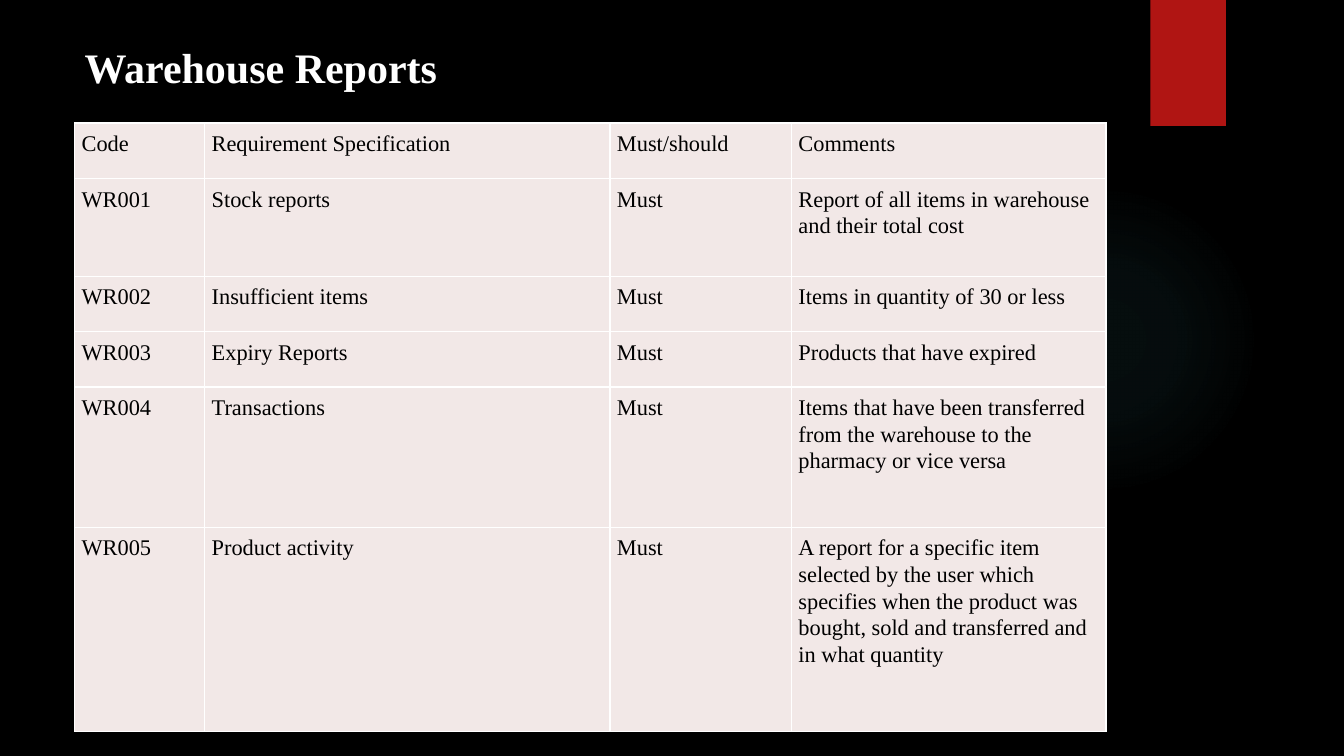
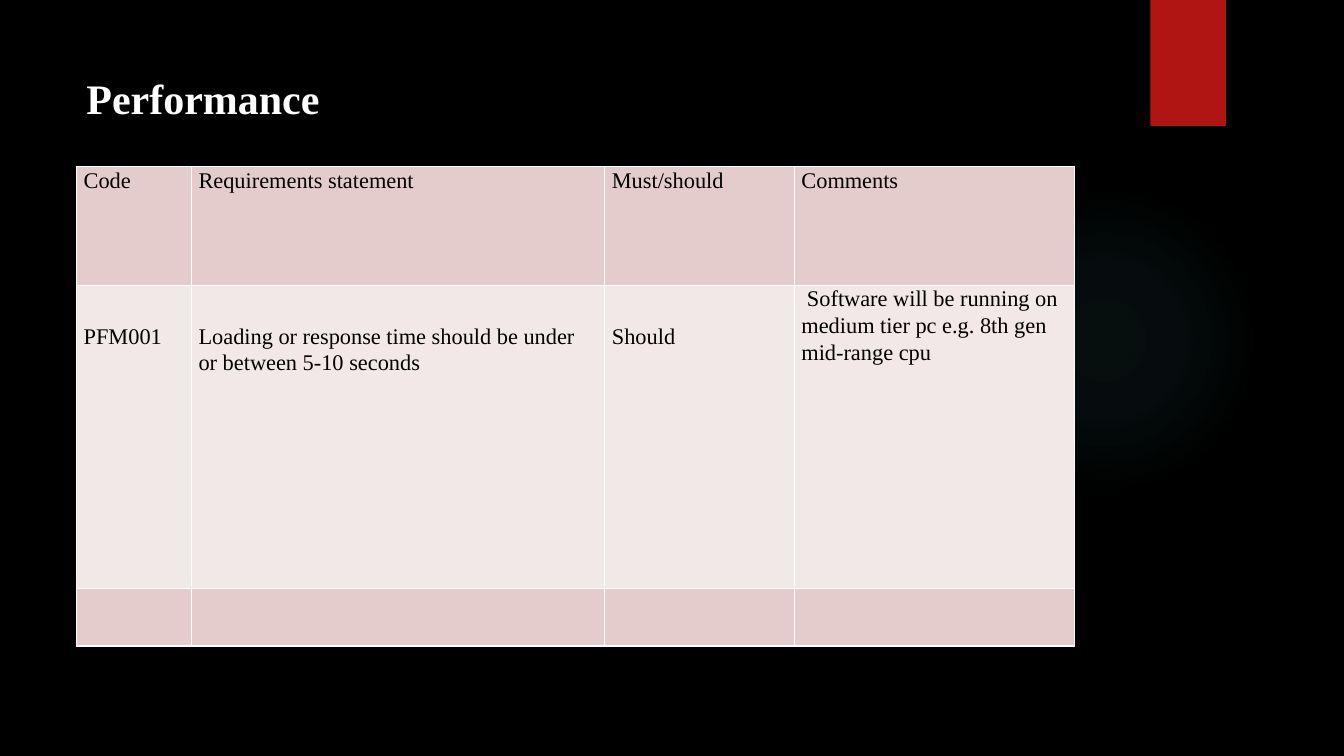
from dataclasses import dataclass

from pptx import Presentation
from pptx.dml.color import RGBColor
from pptx.enum.shapes import MSO_SHAPE
from pptx.oxml import parse_xml
from pptx.oxml.ns import nsdecls
from pptx.slide import Slide
from pptx.table import _Cell
from pptx.text.text import _Paragraph
from pptx.util import Inches, Pt

BLACK = RGBColor(0x00, 0x00, 0x00)
WHITE = RGBColor(0xFF, 0xFF, 0xFF)
RED = RGBColor(0xB0, 0x15, 0x13)
TEAL = RGBColor(0x50, 0xB9, 0xC1)
LIGHT_ROSE = RGBColor(0xF2, 0xE8, 0xE7)
DARK_ROSE = RGBColor(0xE4, 0xCC, 0xCC)
FONT = "Times New Roman"
LINE_SPACING = 1.07
CELL_MARGIN = 0.07
GLOW_STOPS = ((0, 7), (36, 6), (69, 0), (100, 0))


@dataclass(frozen=True)
class Row:
    """A table row: its height, fill, texts and the top margins of its cells."""

    height: float
    fill: RGBColor
    texts: tuple[str, ...]
    tops: tuple[float, ...]


@dataclass(frozen=True)
class RequirementPage:
    """A titled page with one requirements table."""

    title: str
    left: float
    title_top: float
    title_spacing: float
    table_top: float
    widths: tuple[float, ...]
    rows: tuple[Row, ...]


def warehouse_row(height: float, *texts: str) -> Row:
    """Return a row of the warehouse table."""
    return Row(height, LIGHT_ROSE, texts, (CELL_MARGIN,) * 4)


PAGES = (
    RequirementPage(
        "Warehouse Reports", 0.74, 0.33, LINE_SPACING, 1.22, (1.29, 4.02, 1.8, 3.12),
        (
            warehouse_row(0.55, "Code", "Requirement Specification", "Must/should", "Comments"),
            warehouse_row(0.97, "WR001", "Stock reports", "Must",
                          "Report of all items in warehouse and their total cost"),
            warehouse_row(0.55, "WR002", "Insufficient items", "Must",
                          "Items in quantity of 30 or less"),
            warehouse_row(0.55, "WR003", "Expiry Reports", "Must", "Products that have expired"),
            warehouse_row(1.39, "WR004", "Transactions", "Must",
                          "Items that have been transferred from the warehouse "
                          "to the pharmacy or vice versa"),
            warehouse_row(2.03, "WR005", "Product activity", "Must",
                          "A report for a specific item selected by the user which specifies "
                          "when the product was bought, sold and transferred and in what quantity"),
        ),
    ),
    RequirementPage(
        "Performance", 0.76, 0.67, 1.0, 1.65, (1.14, 4.1, 1.88, 2.78),
        (
            Row(1.18, DARK_ROSE,
                ("Code", "Requirements statement", "Must/should", "Comments"), (0,) * 4),
            Row(3.01, LIGHT_ROSE,
                ("PFM001", "Loading or response time should be under or between 5-10 seconds",
                 "Should", " Software will be running on medium tier pc e.g. 8th gen mid-range cpu"),
                (0.37, 0.37, 0.37, 0)),
            Row(0.57, DARK_ROSE, ("",) * 4, (0,) * 4),
        ),
    ),
)


def add_text(para: _Paragraph, text: str, size: float, color: RGBColor, bold: bool = False) -> None:
    """Add one formatted run to a paragraph."""
    span = para.add_run()
    span.text = text
    span.font.name = FONT
    span.font.size = Pt(size)
    span.font.bold = bold
    span.font.color.rgb = color


def draw_backdrop(page: Slide) -> None:
    """Draw the black ground, the faint glow and the red ribbon."""
    page.background.fill.solid()
    page.background.fill.fore_color.rgb = BLACK
    glow = page.shapes.add_shape(
        MSO_SHAPE.OVAL, Inches(9.41), Inches(1.83), Inches(3.08), Inches(3.08))
    ribbon = page.shapes.add_shape(
        MSO_SHAPE.RECTANGLE, Inches(11.41), 0, Inches(0.75), Inches(1.25))
    for shape in (glow, ribbon):
        shape.shadow.inherit = False
        shape.line.fill.background()
    ribbon.fill.solid()
    ribbon.fill.fore_color.rgb = RED
    glow.fill.gradient()
    gradient = glow.fill._fill._gradFill
    stops = "".join(
        f'<a:gs pos="{position * 1000}"><a:srgbClr val="{TEAL}">'
        f'<a:alpha val="{alpha * 1000}"/></a:srgbClr></a:gs>'
        for position, alpha in GLOW_STOPS)
    gradient.getparent().replace(gradient, parse_xml(
        f'<a:gradFill {nsdecls("a")}><a:gsLst>{stops}</a:gsLst><a:path path="circle">'
        '<a:fillToRect l="50000" t="50000" r="50000" b="50000"/></a:path></a:gradFill>'))


def draw_title(page: Slide, content: RequirementPage) -> None:
    """Draw the page title."""
    box = page.shapes.add_textbox(
        Inches(content.left), Inches(content.title_top), Inches(7.03), Inches(0.61))
    box.text_frame.word_wrap = True
    para = box.text_frame.paragraphs[0]
    para.line_spacing = content.title_spacing
    add_text(para, content.title, 30, WHITE, bold=True)


def style_cell(cell: _Cell, fill: RGBColor, top: float, bottom: float) -> None:
    """Give a cell its white borders, fill and margins."""
    properties = cell._tc.get_or_add_tcPr()
    for side in "LRTB":
        properties.append(parse_xml(
            f'<a:ln{side} {nsdecls("a")} w="{Pt(1)}"><a:solidFill>'
            f'<a:srgbClr val="{WHITE}"/></a:solidFill></a:ln{side}>'))
    cell.fill.solid()
    cell.fill.fore_color.rgb = fill
    cell.margin_left = cell.margin_right = Inches(CELL_MARGIN)
    cell.margin_top = Inches(top)
    cell.margin_bottom = Inches(bottom)


def draw_table(page: Slide, content: RequirementPage) -> None:
    """Draw the requirements table."""
    table = page.shapes.add_table(
        len(content.rows), len(content.widths), Inches(content.left), Inches(content.table_top),
        Inches(sum(content.widths)), Inches(sum(row.height for row in content.rows))).table
    table.first_row = table.horz_banding = False
    for column, width in zip(table.columns, content.widths):
        column.width = Inches(width)
    for table_row, row in zip(table.rows, content.rows):
        table_row.height = Inches(row.height)
        for cell, text, top in zip(table_row.cells, row.texts, row.tops):
            style_cell(cell, row.fill, top, min(row.tops))
            if text:
                para = cell.text_frame.paragraphs[0]
                para.line_spacing = LINE_SPACING
                para.space_after = Pt(8)
                add_text(para, text, 16, BLACK)


def build_deck() -> None:
    """Build and save the deck."""
    deck = Presentation()
    deck.slide_width = Inches(13.33)
    deck.slide_height = Inches(7.5)
    for content in PAGES:
        page = deck.slides.add_slide(deck.slide_layouts[6])
        draw_backdrop(page)
        draw_table(page, content)
        draw_title(page, content)
    deck.save("out.pptx")


build_deck()
